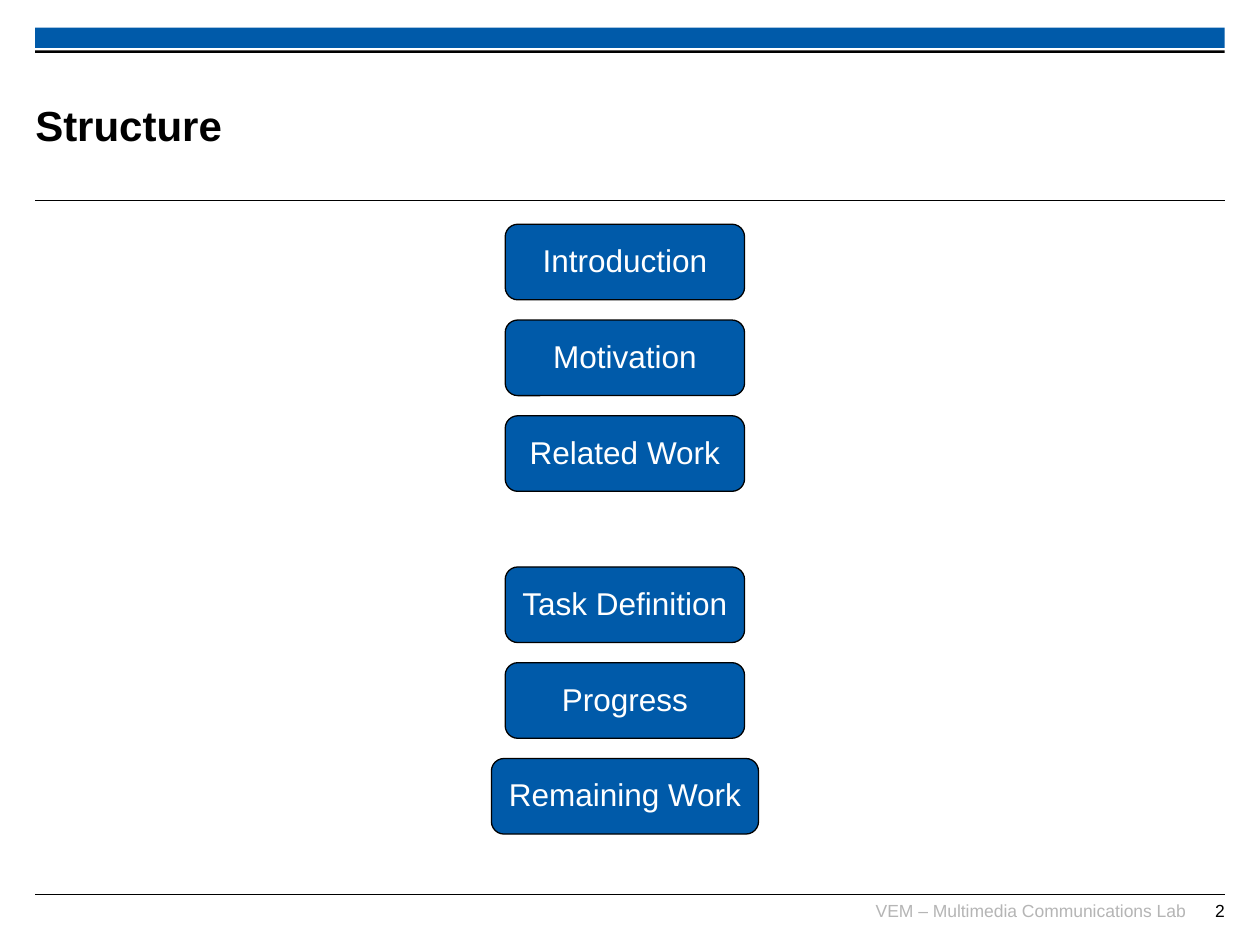
from pptx import Presentation
from pptx.dml.color import RGBColor
from pptx.enum.shapes import MSO_CONNECTOR, MSO_SHAPE
from pptx.enum.text import MSO_ANCHOR, PP_ALIGN
from pptx.util import Inches, Pt
from lxml import etree

RECT, ROUND = MSO_SHAPE.RECTANGLE, MSO_SHAPE.ROUNDED_RECTANGLE
LEFT, MID, RIGHT = PP_ALIGN.LEFT, PP_ALIGN.CENTER, PP_ALIGN.RIGHT
TOP, CENTER = MSO_ANCHOR.TOP, MSO_ANCHOR.MIDDLE
STRAIGHT = MSO_CONNECTOR.STRAIGHT
BLUE, BLACK, WHITE, GREY = "005AA9", "000000", "FFFFFF", "B5B5B5"
FONT = "Arial"
NS = "http://schemas.openxmlformats.org/drawingml/2006/main"

TITLE = "Structure"
FOOTER = "VEM – Multimedia Communications Lab"
PAGE = "2"
# Each group: top of its first box, then its topics
GROUPS = [
    (1.78, ["Introduction", "Motivation", "Related Work"]),
    (4.5, ["Task Definition", "Progress", "Remaining Work"]),
]
WIDE = {"Remaining Work": 2.12}

WIDTH, HEIGHT = 10, 7.5
EDGE = 0.28
SPAN = WIDTH - 2 * EDGE
AXIS = 4.96
BOX_W, BOX_H, PITCH = 1.9, 0.6, 0.76

prs = Presentation()
prs.slide_width, prs.slide_height = Inches(WIDTH), Inches(HEIGHT)
slide = prs.slides.add_slide(prs.slide_layouts[6])


def color(code):
    return RGBColor.from_string(code)


def write(shape, text, size, ink, align, anchor, bold=False):
    frame = shape.text_frame
    frame.vertical_anchor = anchor
    para = frame.paragraphs[0]
    para.alignment = align
    run = para.add_run()
    run.text = text
    font = run.font
    font.name, font.size, font.bold = FONT, Pt(size), bold
    font.color.rgb = color(ink)
    return para


def label(x, y, w, h, *style):
    box = slide.shapes.add_textbox(*map(Inches, (x, y, w, h)))
    frame = box.text_frame
    frame.word_wrap = True
    frame.margin_left = frame.margin_right = 0
    frame.margin_top = frame.margin_bottom = 0
    write(box, *style)


def block(kind, x, y, w, h, fill, edge=None):
    shape = slide.shapes.add_shape(kind, *map(Inches, (x, y, w, h)))
    shape.shadow.inherit = False
    shape.fill.solid()
    shape.fill.fore_color.rgb = color(fill)
    if edge:
        shape.line.color.rgb = color(edge)
        shape.line.width = Pt(0.75)
    else:
        shape.line.fill.background()
    return shape


def rule(y):
    line = slide.shapes.add_connector(
        STRAIGHT, *map(Inches, (EDGE, y, EDGE + SPAN, y)))
    line.line.color.rgb = color(BLACK)
    line.line.width = Pt(0.6)
    etree.SubElement(line._element.spPr, f"{{{NS}}}effectLst")


block(RECT, EDGE, 0.22, SPAN, 0.16, BLUE)
block(RECT, EDGE, 0.4, SPAN, 0.02, BLACK)
rule(1.59)
rule(7.1)
label(EDGE, 0.53, 7.52, 0.92, TITLE, 24, BLACK, LEFT, CENTER, True)
label(6.81, 7.14, 2.6, 0.25, FOOTER, 10, GREY, RIGHT, TOP)
label(9.29, 7.14, 0.43, 0.24, PAGE, 10, BLACK, RIGHT, TOP)

for start, topics in GROUPS:
    for row, topic in enumerate(topics):
        wide = WIDE.get(topic, BOX_W)
        box = block(ROUND, AXIS - wide / 2, start + row * PITCH,
                    wide, BOX_H, BLUE, BLACK)
        box.text_frame.word_wrap = False
        para = write(box, topic, 18, WHITE, MID, CENTER)
        para.line_spacing = 0.93

prs.save("out.pptx")
